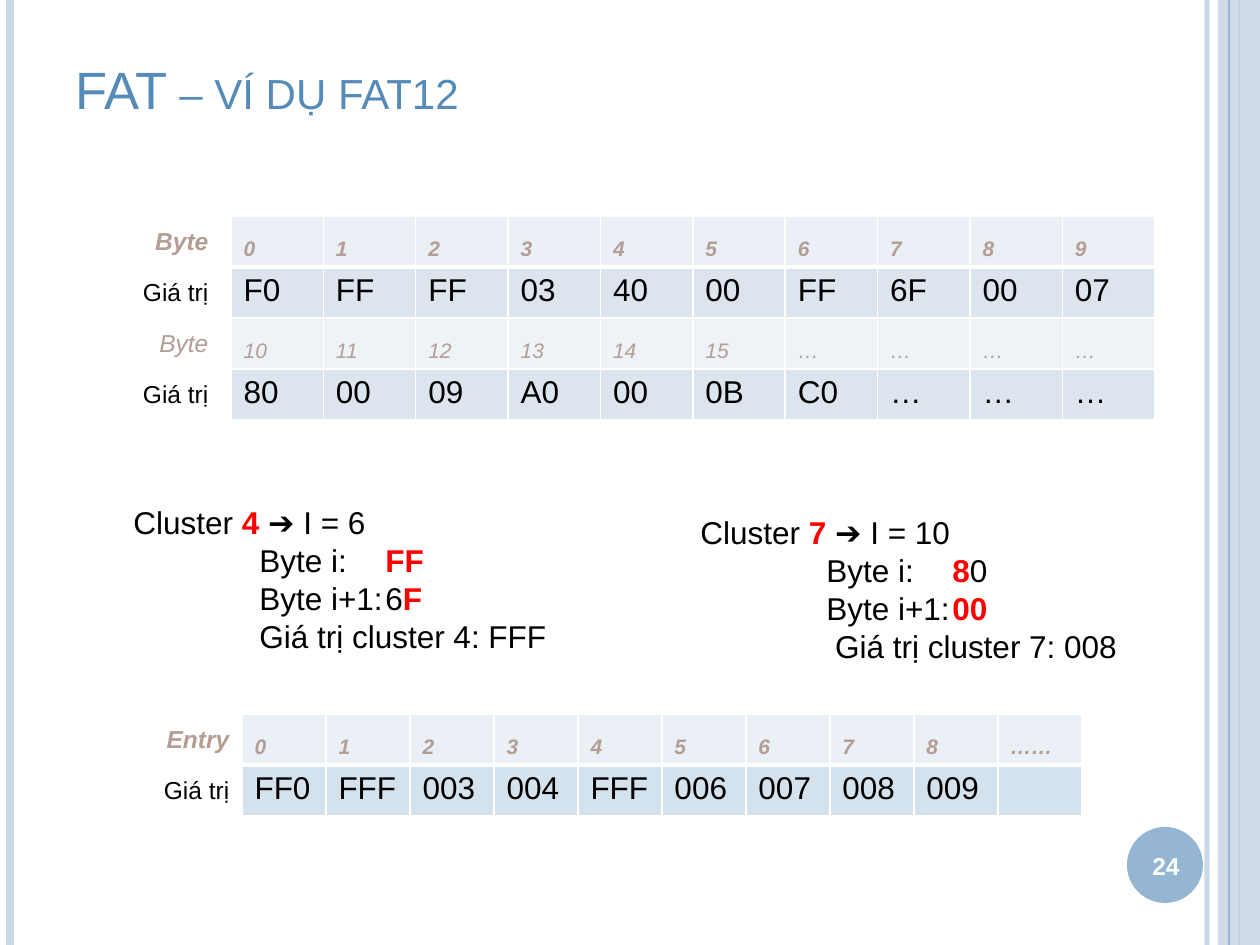
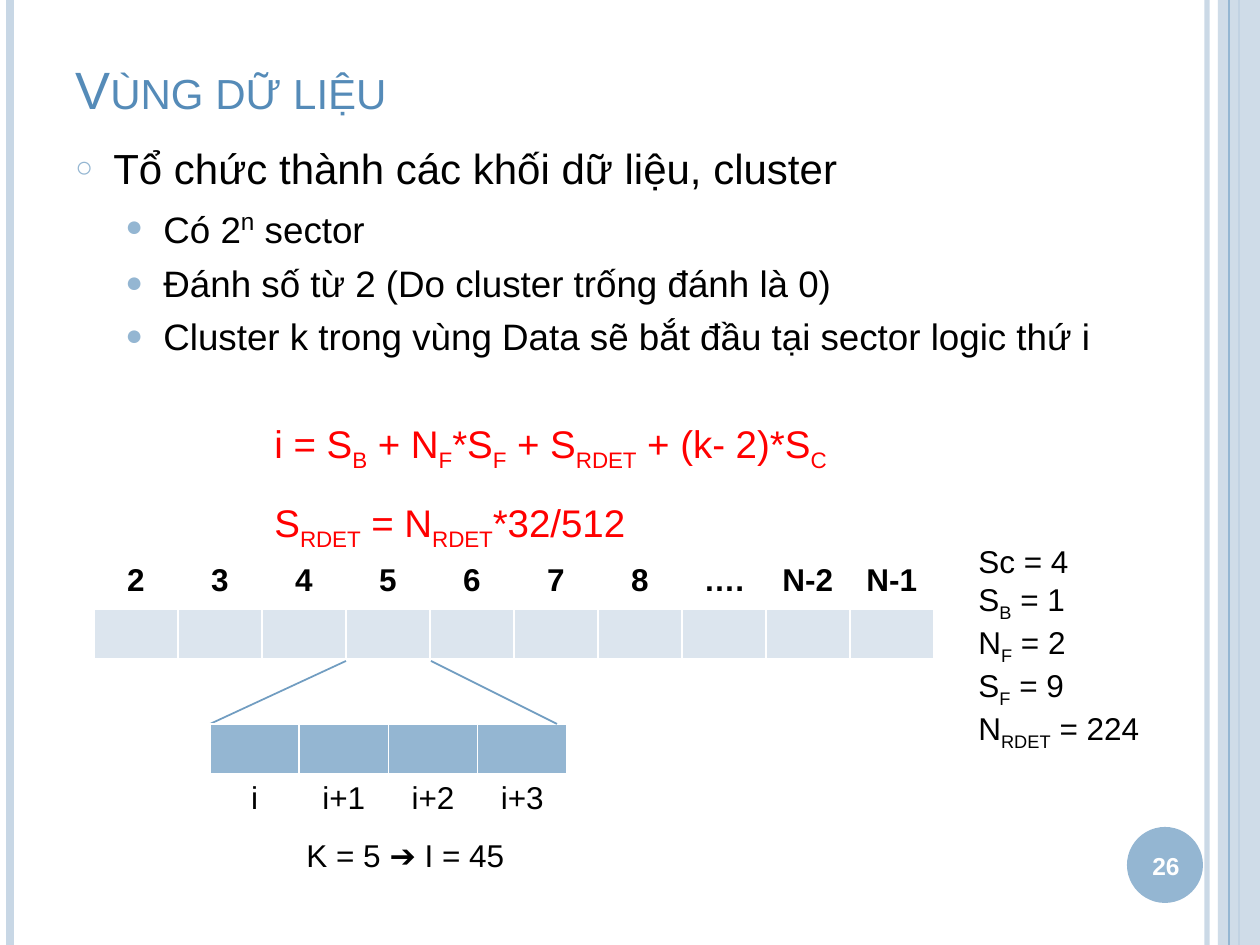
from dataclasses import dataclass
from lxml import etree
from pptx import Presentation
from pptx.dml.color import RGBColor
from pptx.enum.shapes import MSO_CONNECTOR, MSO_SHAPE
from pptx.enum.text import MSO_ANCHOR, PP_ALIGN
from pptx.oxml.ns import qn
from pptx.util import Pt

STRAIGHT = MSO_CONNECTOR.STRAIGHT
RECTANGLE, OVAL = MSO_SHAPE.RECTANGLE, MSO_SHAPE.OVAL
TOP, MIDDLE, BOTTOM = MSO_ANCHOR.TOP, MSO_ANCHOR.MIDDLE, MSO_ANCHOR.BOTTOM
LEFT, CENTER, RIGHT = PP_ALIGN.LEFT, PP_ALIGN.CENTER, PP_ALIGN.RIGHT

FONT = "Arial"
BLACK = RGBColor(0x00, 0x00, 0x00)
WHITE = RGBColor(0xFF, 0xFF, 0xFF)
RED = RGBColor(0xFF, 0x00, 0x00)
TITLE_BLUE = RGBColor(0x55, 0x8B, 0xB8)
ACCENT = RGBColor(0x94, 0xB6, 0xD2)
BAND = RGBColor(0xC8, 0xD7, 0xE5)
ZOOM_LINE = RGBColor(0x71, 0x9D, 0xC1)
TAUPE = RGBColor(0xB3, 0x9D, 0x94)
HEAD_FILL = RGBColor(0xEA, 0xF0, 0xF6)
INDEX_FILL = RGBColor(0xEE, 0xF3, 0xF7)
VALUE_FILL = RGBColor(0xDC, 0xE5, 0xEE)
ENTRY_FILL = RGBColor(0xD4, 0xE2, 0xED)

PX_PER_INCH = 126
PAGE_WIDTH, PAGE_HEIGHT = 1260, 945
ROW_HEIGHT = 51


@dataclass(frozen=True)
class RowStyle:
    fill: RGBColor = None
    size: int = 18
    color: RGBColor = BLACK
    bold: bool = False
    italic: bool = False
    align: PP_ALIGN = LEFT
    anchor: MSO_ANCHOR = TOP


HEAD_ROW = RowStyle(HEAD_FILL, 12, TAUPE, True, True, anchor=BOTTOM)
INDEX_ROW = RowStyle(INDEX_FILL, 12, TAUPE, italic=True, anchor=BOTTOM)
VALUE_ROW = RowStyle(VALUE_FILL)
ENTRY_ROW = RowStyle(ENTRY_FILL)
HEAD_LABEL = RowStyle(None, 14, TAUPE, True, True, RIGHT, MIDDLE)
INDEX_LABEL = RowStyle(None, 14, TAUPE, False, True, RIGHT, MIDDLE)
VALUE_LABEL = RowStyle(None, 14, align=RIGHT, anchor=MIDDLE)
CLUSTER_ROW = RowStyle(bold=True, align=CENTER)
SECTOR_ROW = RowStyle(ACCENT)
SECTOR_LABEL = RowStyle(align=CENTER)


def px(length):
    return round(length * 914400 / PX_PER_INCH)


def add_xml(parent, tag, **attributes):
    return etree.SubElement(parent, qn(tag), {key: str(value) for key, value in attributes.items()})


def set_alpha(element, percent):
    for color in element.iter(qn("a:srgbClr")):
        add_xml(color, "a:alpha", val=percent * 1000)


def add_span(para, text, size=18, color=BLACK, bold=False, italic=False, baseline=0, small_caps=False):
    span = para.add_run()
    span.text = text
    font = span.font
    font.name, font.size, font.bold, font.italic = FONT, Pt(size), bold, italic
    font.color.rgb = color
    if baseline:
        font._element.set("baseline", str(baseline * 1000))
    if small_caps:
        font._element.set("cap", "small")


def add_text(page, box, paragraphs, align=LEFT, anchor=TOP, line_spacing=None, **style):
    """Each paragraph is a list of (text, style changes) pairs; returns its paragraphs."""
    frame = page.shapes.add_textbox(*map(px, box)).text_frame
    frame.word_wrap = True
    frame.vertical_anchor = anchor
    for number, spans in enumerate(paragraphs):
        para = frame.add_paragraph() if number else frame.paragraphs[0]
        para.alignment = align
        if line_spacing:
            para.line_spacing = line_spacing
        for text, changes in spans:
            add_span(para, text, **{**style, **changes})
    return frame.paragraphs


def plain(text):
    return [(text, {})]


def with_subscripts(text):
    """Turn 'S_B_ = 1' into spans, lowering what stands between underscores."""
    return [(part, {"baseline": -25} if number % 2 else {})
            for number, part in enumerate(text.split("_"))]


def with_red(text):
    """Turn 'Byte i: *FF*' into spans, with bold red between asterisks."""
    return [(part, {"color": RED, "bold": True} if number % 2 else {})
            for number, part in enumerate(text.split("*")) if part]


def add_line(page, start, end, color, width, alpha=None):
    line = page.shapes.add_connector(STRAIGHT, *map(px, start + end))
    line.line.color.rgb = color
    line.line.width = Pt(width)
    properties = line._element.spPr
    if alpha:
        set_alpha(properties, alpha)
    add_xml(properties, "a:effectLst")


def add_block(page, kind, box, color, alpha=None):
    block = page.shapes.add_shape(kind, *map(px, box))
    block.shadow.inherit = False
    block.fill.solid()
    block.fill.fore_color.rgb = color
    block.line.fill.background()
    if alpha:
        set_alpha(block._element.spPr, alpha)


def add_borders(cell, bottom_width):
    properties = cell._tc.get_or_add_tcPr()
    for side in "LRTB":
        width = bottom_width if side == "B" else 1
        border = add_xml(properties, "a:ln" + side, w=Pt(width))
        add_xml(add_xml(border, "a:solidFill"), "a:srgbClr", val=WHITE)


def add_grid(page, left, top, width, rows):
    """Each row is a (style, cell texts) pair; the first row has a heavy lower edge."""
    count = len(rows[0][1])
    table = page.shapes.add_table(
        len(rows), count, *map(px, (left, top, width, ROW_HEIGHT * len(rows)))).table
    table.first_row = table.horz_banding = False
    for column in table.columns:
        column.width = px(width / count)
    for row_number, (style, texts) in enumerate(rows):
        table.rows[row_number].height = px(ROW_HEIGHT)
        for column_number, text in enumerate(texts):
            cell = table.cell(row_number, column_number)
            add_borders(cell, 1 if row_number else 3)
            if style.fill is None:
                cell.fill.background()
            else:
                cell.fill.solid()
                cell.fill.fore_color.rgb = style.fill
            cell.vertical_anchor = style.anchor
            para = cell.text_frame.paragraphs[0]
            para.alignment = style.align
            if text:
                add_span(para, text, style.size, style.color, style.bold, style.italic)


def add_page(deck, title, number):
    page = deck.slides.add_slide(deck.slide_layouts[6])
    for x, color, width, alpha in ((1207, BAND, 3, 93), (10, BAND, 4.5, None), (1239, ACCENT, 1.5, None)):
        add_line(page, (x, 0), (x, PAGE_HEIGHT), color, width, alpha)
    add_block(page, RECTANGLE, (1218, 0, 42, PAGE_HEIGHT), BAND, 87)
    add_line(page, (1229, 0), (1229, PAGE_HEIGHT), ACCENT, 0.75)
    add_block(page, OVAL, (1127, 827, 76, 76), ACCENT)
    add_text(page, (63, 38, 1061, 88), [plain(title)], anchor=BOTTOM,
             size=30, color=TITLE_BLUE, small_caps=True)
    add_text(page, (1124, 830, 84, 72), [plain(str(number))], CENTER, MIDDLE,
             size=14, color=WHITE, bold=True)
    return page


def add_cluster_steps(page, left, top, lines):
    for para in add_text(page, (left, top, 470, 165), [with_red(line) for line in lines]):
        tabs = add_xml(para._p.get_or_add_pPr(), "a:tabLst")
        for stop in (1, 2):
            add_xml(tabs, "a:tab", pos=px(stop * PX_PER_INCH), algn="l")


def add_bullets(page, box, items):
    """Each item is a (level, spans) pair."""
    looks = (("○", 70, 38, 6), ("●", 80, 88, 5))
    paragraphs = add_text(page, box, [spans for _, spans in items], size=21)
    for para, (level, _) in zip(paragraphs, items):
        mark, percent, indent, space = looks[level]
        para.space_before = Pt(space)
        properties = para._p.get_or_add_pPr()
        properties.set("marL", str(px(indent)))
        properties.set("indent", str(-px(38)))
        add_xml(add_xml(properties, "a:buClr"), "a:srgbClr", val=ACCENT)
        add_xml(properties, "a:buSzPct", val=percent * 1000)
        add_xml(properties, "a:buFont", typeface=FONT)
        add_xml(properties, "a:buChar", char=mark)


def build_fat_example(deck):
    page = add_page(deck, "FAT – ví dụ fat12", 24)
    add_grid(page, 231, 216, 924, [
        (HEAD_ROW, [str(byte) for byte in range(10)]),
        (VALUE_ROW, "F0 FF FF 03 40 00 FF 6F 00 07".split()),
        (INDEX_ROW, [str(byte) for byte in range(10, 16)] + ["…"] * 4),
        (VALUE_ROW, "80 00 09 A0 00 0B C0 … … …".split()),
    ])
    add_grid(page, 105, 216, 116, [
        (HEAD_LABEL, ["Byte"]), (VALUE_LABEL, ["Giá trị"]),
        (INDEX_LABEL, ["Byte"]), (VALUE_LABEL, ["Giá trị"]),
    ])
    add_cluster_steps(page, 121, 497, [
        "Cluster *4 *➔ I = 6", "\tByte i: \t*FF*", "\tByte i+1:\t6*F*",
        "\tGiá trị cluster 4: FFF",
    ])
    add_cluster_steps(page, 688, 507, [
        "Cluster *7 *➔ I = 10", "\tByte i: \t*8*0", "\tByte i+1:\t*00*",
        "\t Giá trị cluster 7: 008",
    ])
    add_grid(page, 242, 714, 840, [
        (HEAD_ROW, [str(entry) for entry in range(9)] + ["……"]),
        (ENTRY_ROW, "FF0 FFF 003 004 FFF 006 007 008 009".split() + [""]),
    ])
    add_grid(page, 126, 714, 116, [(HEAD_LABEL, ["Entry"]), (VALUE_LABEL, ["Giá trị"])])


def build_data_area(deck):
    page = add_page(deck, "Vùng dữ liệu", 26)
    add_bullets(page, (63, 136, 1061, 240), [
        (0, [("Tổ chức thành các khối dữ liệu, cluster", {"size": 24})]),
        (1, [("Có 2", {}), ("n", {"size": 24, "baseline": 30}), (" sector", {})]),
        (1, plain("Đánh số từ 2 (Do cluster trống đánh là 0)")),
        (1, plain("Cluster k trong vùng Data sẽ bắt đầu tại sector logic thứ i")),
    ])
    add_grid(page, 94, 557, 840, [
        (CLUSTER_ROW, "2 3 4 5 6 7 8 …. N-2 N-1".split()), (VALUE_ROW, [""] * 10)])
    add_line(page, (346, 661), (210, 724), ZOOM_LINE, 1)
    add_grid(page, 210, 724, 357, [
        (SECTOR_ROW, [""] * 4), (SECTOR_LABEL, ["i", "i+1", "i+2", "i+3"])])
    add_line(page, (431, 661), (557, 724), ZOOM_LINE, 1)
    formulas = ["i = S_B_ + N_F_*S_F_ + S_RDET_ + (k- 2)*S_C", "S_RDET_ = N_RDET_*32/512"]
    add_text(page, (262, 388, 620, 144), map(with_subscripts, formulas),
             line_spacing=1.5, size=22, color=RED)
    sizes = ["Sc = 4", "S_B_ = 1", "N_F_ = 2", "S_F_ = 9", "N_RDET_ = 224"]
    add_text(page, (966, 536, 215, 204), map(with_subscripts, sizes))
    add_text(page, (294, 830, 250, 50), [plain("K = 5 ➔ I = 45")])


def main():
    deck = Presentation()
    deck.slide_width, deck.slide_height = px(PAGE_WIDTH), px(PAGE_HEIGHT)
    build_fat_example(deck)
    build_data_area(deck)
    deck.save("out.pptx")


if __name__ == "__main__":
    main()
